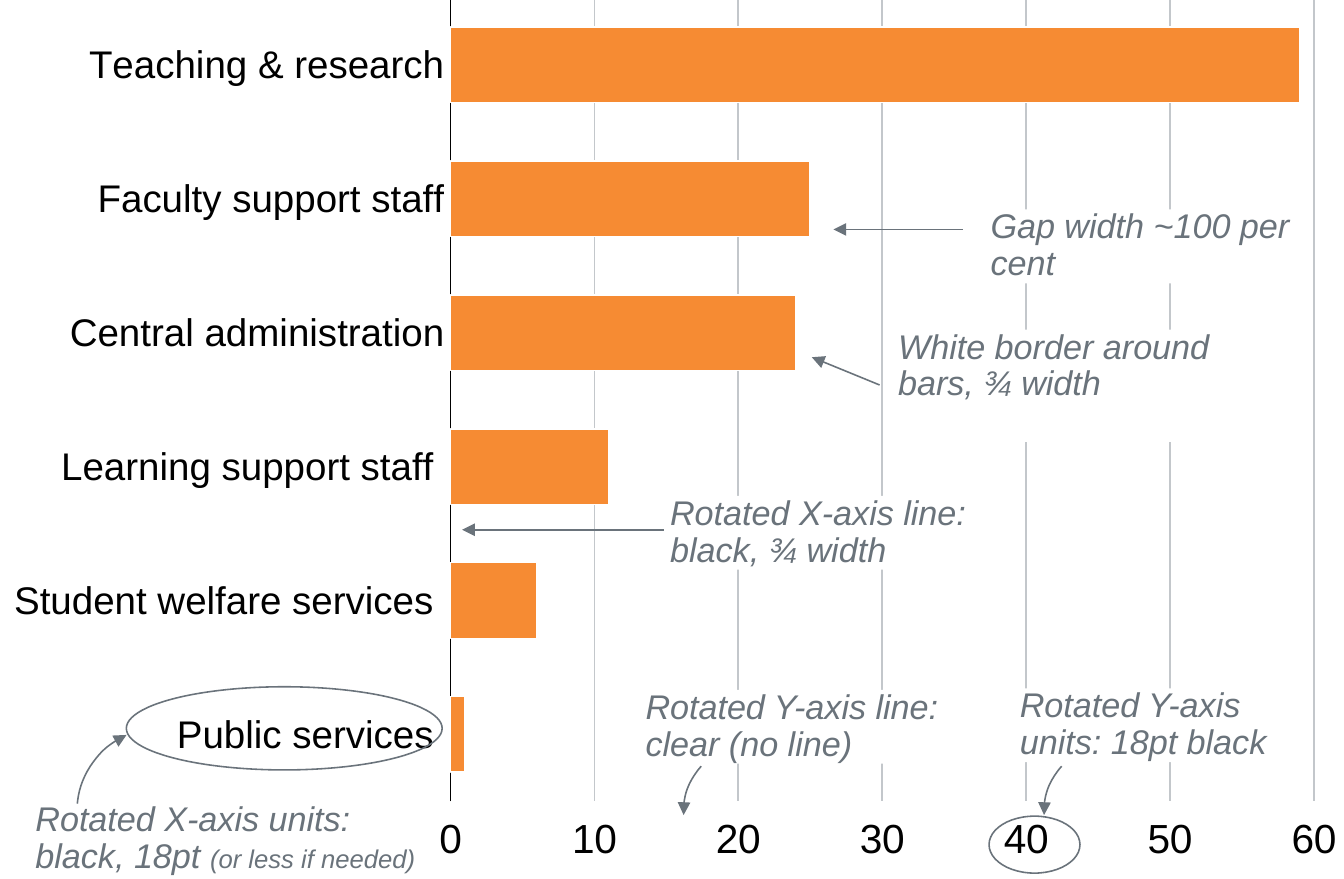
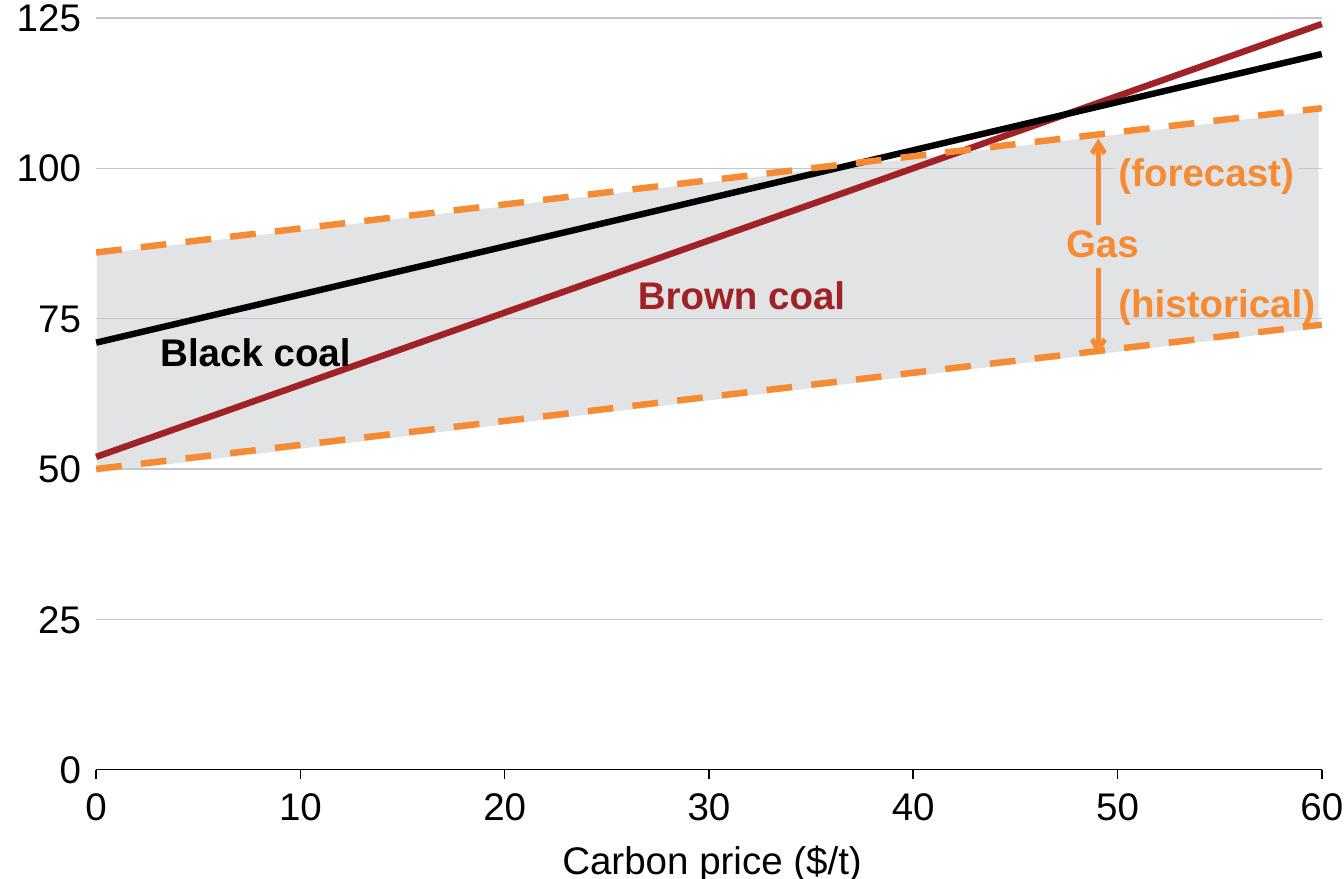
from lxml.etree import SubElement
from pptx import Presentation
from pptx.chart.data import CategoryChartData
from pptx.dml.color import RGBColor
from pptx.enum.chart import XL_CHART_TYPE, XL_MARKER_STYLE, XL_TICK_MARK
from pptx.enum.dml import MSO_LINE
from pptx.enum.shapes import MSO_CONNECTOR, MSO_SHAPE
from pptx.enum.text import MSO_ANCHOR, MSO_AUTO_SIZE, PP_ALIGN
from pptx.oxml import parse_xml
from pptx.oxml.ns import nsdecls, qn
from pptx.util import Inches, Pt

FONT = "Arial"
BLACK = RGBColor(0x00, 0x00, 0x00)
WHITE = RGBColor(0xFF, 0xFF, 0xFF)
ORANGE = RGBColor(0xF6, 0x8B, 0x33)
RED = RGBColor(0xA0, 0x22, 0x26)
SLATE = RGBColor(0x6A, 0x73, 0x7B)
GRID = RGBColor(0xC3, 0xC7, 0xCB)
BAND = RGBColor(0xE1, 0xE3, 0xE5)
THIN = Pt(0.75)


def add_text(page, text, at, size=18, color=BLACK, bold=False, italic=False,
             fill=None, wrap=False, spacing=None, inset=0, small=None):
    place = [Inches(length) for length in at]
    if fill is None:
        box = page.shapes.add_textbox(*place)
    else:
        box = page.shapes.add_shape(MSO_SHAPE.RECTANGLE, *place)
        box.shadow.inherit = False
        box.fill.solid()
        box.fill.fore_color.rgb = fill
        box.line.fill.background()
    frame = box.text_frame
    frame.word_wrap = wrap
    frame.auto_size = MSO_AUTO_SIZE.SHAPE_TO_FIT_TEXT
    frame.vertical_anchor = MSO_ANCHOR.TOP
    frame.margin_left = frame.margin_right = Inches(inset)
    frame.margin_top = frame.margin_bottom = 0
    para = frame.paragraphs[0]
    para.alignment = PP_ALIGN.LEFT
    if spacing:
        para.line_spacing = spacing
    for words, points in [(text, size)] + ([small] if small else []):
        span = para.add_run()
        span.text = words
        span.font.name = FONT
        span.font.size = Pt(points)
        span.font.bold = bold
        span.font.italic = italic
        span.font.color.rgb = color


def add_chart(page, kind, at, categories, rows, layout, cross, top, step, value_size, tick):
    data = CategoryChartData()
    data.categories = categories
    for number, values in enumerate(rows, 1):
        data.add_series(f"Series {number}", values)
    chart = page.shapes.add_chart(kind, *[Inches(length) for length in at], data).chart
    chart.has_legend = False
    chart.has_title = False
    chart.font.name = FONT
    chart.font.size = Pt(18)
    chart.font.color.rgb = BLACK
    chart.plots[0].vary_by_categories = False

    category_axis = chart.category_axis
    category_axis.major_tick_mark = tick
    category_axis.has_major_gridlines = False
    category_axis.tick_labels.font.size = Pt(18)
    category_axis.format.line.color.rgb = BLACK
    category_axis.format.line.width = THIN

    value_axis = chart.value_axis
    value_axis.minimum_scale = 0
    value_axis.maximum_scale = top
    value_axis.major_unit = step
    value_axis.major_tick_mark = XL_TICK_MARK.OUTSIDE
    value_axis.tick_labels.font.size = Pt(value_size)
    value_axis.format.line.fill.background()
    value_axis.has_major_gridlines = True
    value_axis.major_gridlines.format.line.color.rgb = GRID
    value_axis.major_gridlines.format.line.width = THIN

    for old in chart.element.xpath(".//c:crossBetween | .//c:plotArea/c:layout"):
        old.getparent().remove(old)
    chart.element.xpath(".//c:valAx/c:crosses")[0].addnext(
        parse_xml(f'<c:crossBetween {nsdecls("c")} val="{cross}"/>'))
    edges = "".join(f'<c:{name}Mode val="edge"/>' for name in "xy")
    sizes = "".join(f'<c:{name} val="{value}"/>' for name, value in zip("xywh", layout))
    area = chart.element.xpath(".//c:plotArea")[0]
    area.insert(0, parse_xml(
        f'<c:layout {nsdecls("c")}><c:manualLayout><c:layoutTarget val="inner"/>'
        f'{edges}{sizes}</c:manualLayout></c:layout>'))
    clear = f'<c:spPr {nsdecls("c", "a")}><a:noFill/><a:ln><a:noFill/></a:ln></c:spPr>'
    area.append(parse_xml(clear))
    chart.element.xpath("./c:chart")[0].addnext(parse_xml(clear))
    return chart


deck = Presentation()
deck.slide_width = Inches(8.724)
deck.slide_height = Inches(5.708)
bar_page, line_page = [deck.slides.add_slide(deck.slide_layouts[6]) for _ in range(2)]

staff = {
    "Public services ": 1,
    "Student welfare services ": 6,
    "Learning support staff ": 11,
    "Central administration": 24,
    "Faculty support staff": 25,
    "Teaching & research": 59,
}
bar_chart = add_chart(
    bar_page, XL_CHART_TYPE.BAR_CLUSTERED, (-0.08, -0.13, 8.94, 5.85),
    list(staff), [list(staff.values())], (0.336, 0.02, 0.627, 0.892),
    cross="between", top=60, step=10, value_size=19, tick=XL_TICK_MARK.NONE)
bar_chart.plots[0].gap_width = 77
bars = bar_chart.plots[0].series[0]
bars.invert_if_negative = False
bars.format.fill.solid()
bars.format.fill.fore_color.rgb = ORANGE
bars.format.line.color.rgb = WHITE
bars.format.line.width = THIN

note_style = dict(size=16, color=SLATE, italic=True, wrap=True, spacing=0.9)
notes = [
    ("Rotated Y-axis units: 18pt black", (6.62, 4.47, 1.64, 0.48)),
    ("Rotated Y-axis line: clear (no line)", (4.19, 4.48, 1.95, 0.48)),
    ("Rotated X-axis line: black, ¾ width", (4.35, 3.22, 2.02, 0.48)),
    ("Gap width ~100 per cent", (6.43, 1.36, 2.02, 0.48)),
    ("White border around bars, ¾ width", (5.83, 2.14, 2.04, 0.73)),
]
for text, at in notes:
    add_text(bar_page, text, at, fill=WHITE, **note_style)
add_text(bar_page, "Rotated X-axis units: black, 18pt ", (0.23, 5.21, 2.59, 0.48),
         small=("(or less if needed)", 12), **note_style)

outlines = [
    (MSO_SHAPE.OVAL, (6.42, 5.3, 0.59, 0.37), 0, (), None),
    (MSO_SHAPE.OVAL, (0.82, 4.46, 2.05, 0.54), 0, (), None),
    (MSO_SHAPE.ARC, (6.8, 4.8, 0.82, 0.88), 240.9, (175.33, 203.33), "a:headEnd"),
    (MSO_SHAPE.ARC, (4.46, 4.8, 0.82, 0.88), 240.9, (175.33, 203.33), "a:headEnd"),
    (MSO_SHAPE.ARC, (0.53, 4.69, 1.01, 1.08), 245, (177.72, 0), "a:tailEnd"),
]
for kind, at, turn, angles, arrow_end in outlines:
    outline = bar_page.shapes.add_shape(kind, *[Inches(length) for length in at])
    outline.shadow.inherit = False
    outline.fill.background()
    outline.line.color.rgb = SLATE
    outline.line.width = THIN
    outline.rotation = turn
    for index, angle in enumerate(angles):
        outline.adjustments[index] = angle
    if arrow_end:
        SubElement(outline.element.xpath(".//a:ln")[0], qn(arrow_end), type="triangle")

band_points = [(Inches(x), Inches(y)) for x, y in
               [(0.63, 1.65), (0.63, 3.07), (8.56, 2.13), (8.56, 0.72)]]
builder = line_page.shapes.build_freeform(*band_points[0], scale=1.0)
builder.add_line_segments(band_points[1:], close=True)
gas_band = builder.convert_to_shape()
gas_band.shadow.inherit = False
gas_band.fill.solid()
gas_band.fill.fore_color.rgb = BAND
gas_band.line.fill.background()

prices = range(0, 70, 10)
cost_lines = [
    (range(52, 125, 12), RED, MSO_LINE.SOLID),
    (range(71, 120, 8), BLACK, MSO_LINE.SOLID),
    (range(50, 75, 4), ORANGE, MSO_LINE.DASH),
    (range(86, 111, 4), ORANGE, MSO_LINE.DASH),
]
line_chart = add_chart(
    line_page, XL_CHART_TYPE.LINE, (-0.09, -0.07, 8.93, 5.84),
    [str(price) for price in prices], [list(values) for values, _, _ in cost_lines],
    (0.08, 0.032, 0.891, 0.836),
    cross="midCat", top=125, step=25, value_size=18, tick=XL_TICK_MARK.OUTSIDE)
for series, (_, color, dash) in zip(line_chart.plots[0].series, cost_lines):
    series.smooth = False
    series.marker.style = XL_MARKER_STYLE.NONE
    series.format.line.color.rgb = color
    series.format.line.width = Pt(3)
    series.format.line.dash_style = dash

add_text(line_page, "Carbon price ($/t)", (3.65, 5.43, 2.12, 0.31))
labels = [
    ("Black coal", (1.04, 2.13, 1.25, 0.3), BLACK, None, 0),
    ("Brown coal", (4.14, 1.76, 1.36, 0.3), RED, None, 0),
    ("Gas", (6.92, 1.42, 0.48, 0.3), ORANGE, None, 0),
    ("(forecast)", (7.24, 0.96, 1.19, 0.3), ORANGE, BAND, 0.02),
    ("(historical)", (7.24, 1.81, 1.33, 0.3), ORANGE, None, 0.02),
]
for text, at, color, fill, inset in labels:
    add_text(line_page, text, at, color=color, bold=True, fill=fill, inset=inset)

arrows = [
    (bar_page, (4.31, 3.44, 3, 3.44), SLATE, 0.75, "triangle"),
    (bar_page, (6.25, 1.49, 5.41, 1.49), SLATE, 0.75, "triangle"),
    (bar_page, (5.71, 2.5, 5.27, 2.32), SLATE, 0.75, "triangle"),
    (line_page, (7.13, 1.46, 7.13, 0.9), ORANGE, 2.25, "arrow"),
    (line_page, (7.13, 1.74, 7.13, 2.3), ORANGE, 2.25, "arrow"),
]
for page, ends, color, width, head in arrows:
    arrow = page.shapes.add_connector(MSO_CONNECTOR.STRAIGHT, *[Inches(end) for end in ends])
    arrow.line.color.rgb = color
    arrow.line.width = Pt(width)
    SubElement(arrow.element.xpath(".//a:ln")[0], qn("a:tailEnd"), type=head)
    SubElement(arrow.element.spPr, qn("a:effectLst"))

deck.save("out.pptx")
